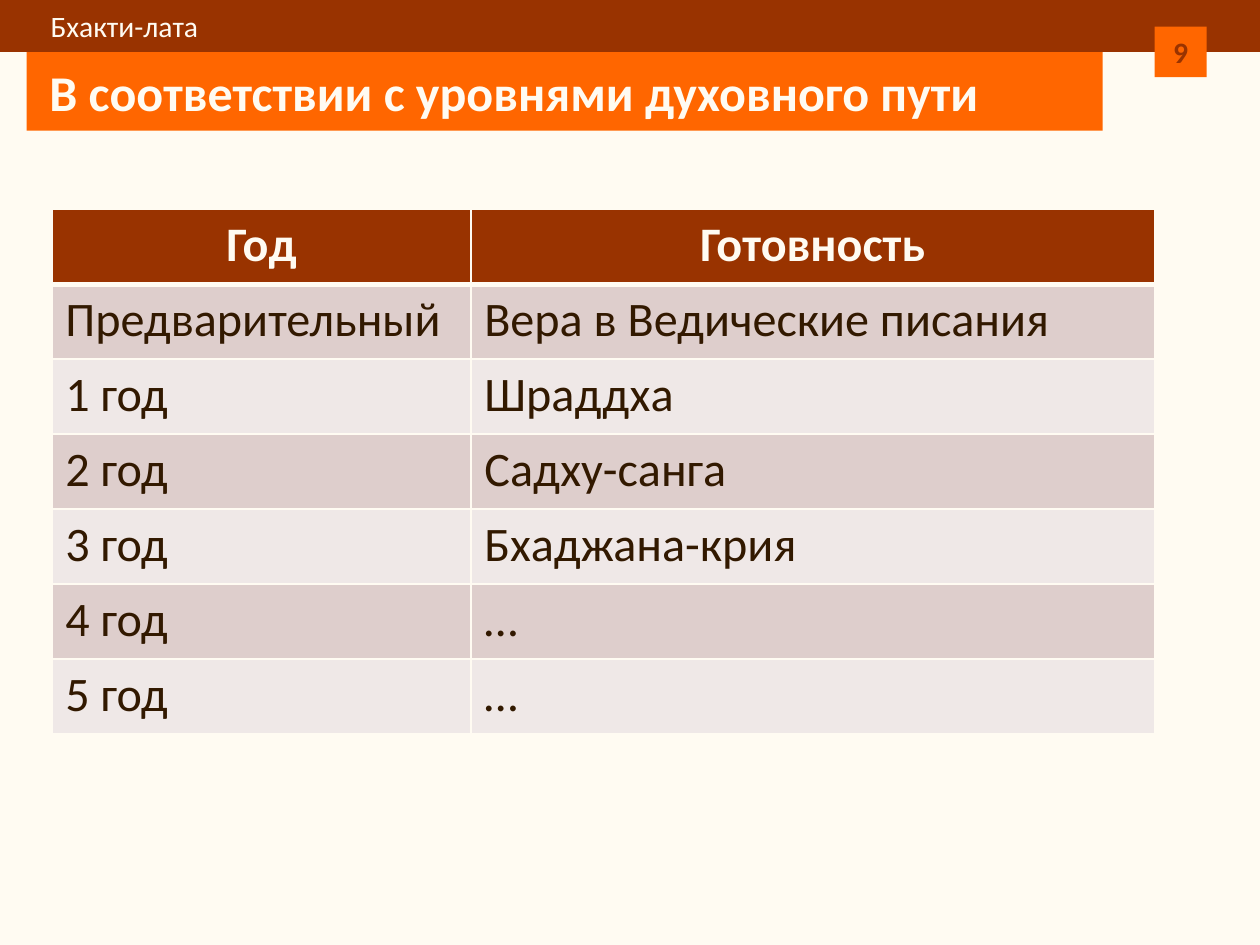
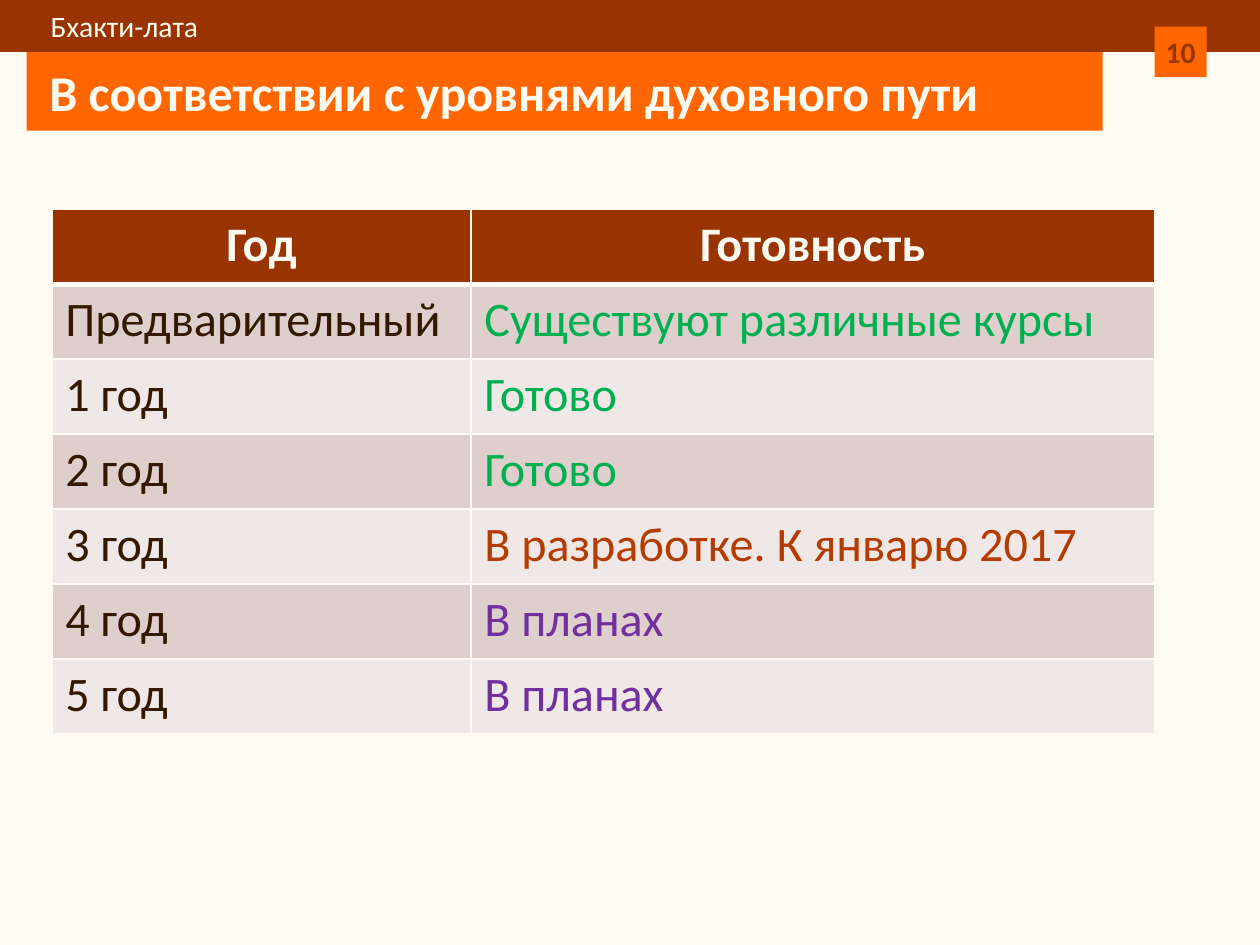
from lxml import etree
from pptx import Presentation
from pptx.dml.color import RGBColor
from pptx.enum.shapes import MSO_SHAPE
from pptx.enum.text import MSO_ANCHOR, MSO_AUTO_SIZE, PP_ALIGN
from pptx.oxml.ns import qn
from pptx.util import Inches, Pt

RECTANGLE = MSO_SHAPE.RECTANGLE
MIDDLE = MSO_ANCHOR.MIDDLE
NO_AUTOFIT = MSO_AUTO_SIZE.NONE
LEFT, CENTER = PP_ALIGN.LEFT, PP_ALIGN.CENTER

FONT = "Calibri"
COLORS = {
    "cream": "FFFBF2",
    "brown": "993300",
    "orange": "FF6600",
    "text": "321900",
    "row_dark": "DECECC",
    "row_light": "EFE8E7",
    "ready": "00B050",
    "in_progress": "B43C00",
    "planned": "7030A0",
}

# Boxes: left, top, width, height in inches
SLIDE_WIDTH, SLIDE_HEIGHT = 9.45, 7.09
BAND_BOX = (0, 0, SLIDE_WIDTH, 0.39)
TITLE_BOX = (0.2, 0.39, 8.07, 0.59)
NUMBER_BOX = (8.66, 0.2, 0.39, 0.38)
TABLE_BOX = (0.39, 1.57, 8.27, 3.94)
YEAR_COLUMN_SHARE = 0.38

# Text formats
BAND_TEXT = {"size": 16, "color": "cream", "bold": False}
TITLE_TEXT = {"size": 27, "color": "cream", "bold": True}
NUMBER_TEXT = {"size": 16, "color": "brown", "bold": True, "align": CENTER}
HEADER_TEXT = {"size": 26, "color": "cream", "bold": True, "align": CENTER}
BODY_TEXT = {"size": 26, "color": "text", "bold": False}

# Content
BAND_LABEL = "Бхакти-лата"
TITLE = "В соответствии с уровнями духовного пути"
HEADERS = ("Год", "Готовность")
YEARS = ["Предварительный"] + [f"{year} год" for year in range(1, 6)]
SLIDES = [
    (9, [
        ("Вера в Ведические писания", "text"),
        ("Шраддха", "text"),
        ("Садху-санга", "text"),
        ("Бхаджана-крия", "text"),
        ("…", "text"),
        ("…", "text"),
    ]),
    (10, [
        ("Существуют различные курсы", "ready"),
        ("Готово", "ready"),
        ("Готово", "ready"),
        ("В разработке. К январю 2017", "in_progress"),
        ("В планах", "planned"),
        ("В планах", "planned"),
    ]),
]


def rgb(name):
    return RGBColor.from_string(COLORS[name])


def fill_solid(fill, color):
    fill.solid()
    fill.fore_color.rgb = rgb(color)


def write_text(text_frame, text, size, color, bold, align=LEFT):
    paragraph = text_frame.paragraphs[0]
    paragraph.alignment = align
    run = paragraph.add_run()
    run.text = text
    for name, value in {"name": FONT, "size": Pt(size), "bold": bold}.items():
        setattr(run.font, name, value)
    run.font.color.rgb = rgb(color)


def format_box(shape, box, color, text, text_format, margins):
    """Place a filled box and write its single line of text."""
    for name, value in zip(("left", "top", "width", "height"), box):
        setattr(shape, name, Inches(value))
    fill_solid(shape.fill, color)
    shape.line.fill.background()
    text_frame = shape.text_frame
    settings = {"word_wrap": True, "auto_size": NO_AUTOFIT,
                "vertical_anchor": MIDDLE}
    for side, value in zip(("left", "top", "right", "bottom"), margins):
        settings[f"margin_{side}"] = Inches(value)
    for name, value in settings.items():
        setattr(text_frame, name, value)
    write_text(text_frame, text, **text_format)


def add_box(slide, box, *details):
    shape = slide.shapes.add_shape(RECTANGLE, *map(Inches, box))
    shape.shadow.inherit = False
    format_box(shape, box, *details)


def add_frame(slide, number):
    """Top band, title and slide number."""
    add_box(slide, BAND_BOX, "brown", BAND_LABEL, BAND_TEXT,
            (0.38, 0.05, 0.1, 0.05))
    format_box(slide.shapes.title, TITLE_BOX, "orange", TITLE, TITLE_TEXT,
               (0.17, 0.05, 0.09, 0.05))
    add_box(slide, NUMBER_BOX, "orange", str(number), NUMBER_TEXT,
            (0, 0, 0, 0))


def set_borders(cell, **widths):
    """Draw cream cell borders; must run before the cell is filled."""
    properties = cell._tc.get_or_add_tcPr()
    for side in "LRTB":
        line = etree.SubElement(properties, qn(f"a:ln{side}"),
                                w=str(Pt(widths.get(side, 1))))
        solid = etree.SubElement(line, qn("a:solidFill"))
        etree.SubElement(solid, qn("a:srgbClr"), val=COLORS["cream"])


def format_cell(cell, text, color, text_format, **widths):
    set_borders(cell, **widths)
    fill_solid(cell.fill, color)
    write_text(cell.text_frame, text, **text_format)


def add_levels_table(slide, box, statuses):
    """Header row, then one banded row per year."""
    row_count = len(YEARS) + 1
    table = slide.shapes.add_table(row_count, 2, *map(Inches, box)).table
    width, height = box[2:]
    shares = (YEAR_COLUMN_SHARE, 1 - YEAR_COLUMN_SHARE)
    for column, share in zip(table.columns, shares):
        column.width = Inches(width * share)
    for row in table.rows:
        row.height = Inches(height / row_count)

    for column, text in enumerate(HEADERS):
        format_cell(table.cell(0, column), text, "brown", HEADER_TEXT, B=3)

    for row, (year, (status, color)) in enumerate(zip(YEARS, statuses), 1):
        band = "row_dark" if row % 2 else "row_light"
        top = 3 if row == 1 else 1
        format_cell(table.cell(row, 0), year, band, BODY_TEXT, T=top)
        format_cell(table.cell(row, 1), status, band,
                    {**BODY_TEXT, "color": color}, T=top)


def main():
    presentation = Presentation()
    presentation.slide_width = Inches(SLIDE_WIDTH)
    presentation.slide_height = Inches(SLIDE_HEIGHT)
    fill_solid(presentation.slide_master.background.fill, "cream")
    title_only = presentation.slide_layouts.get_by_name("Title Only")
    for number, statuses in SLIDES:
        slide = presentation.slides.add_slide(title_only)
        add_frame(slide, number)
        add_levels_table(slide, TABLE_BOX, statuses)
    presentation.save("out.pptx")


if __name__ == "__main__":
    main()
